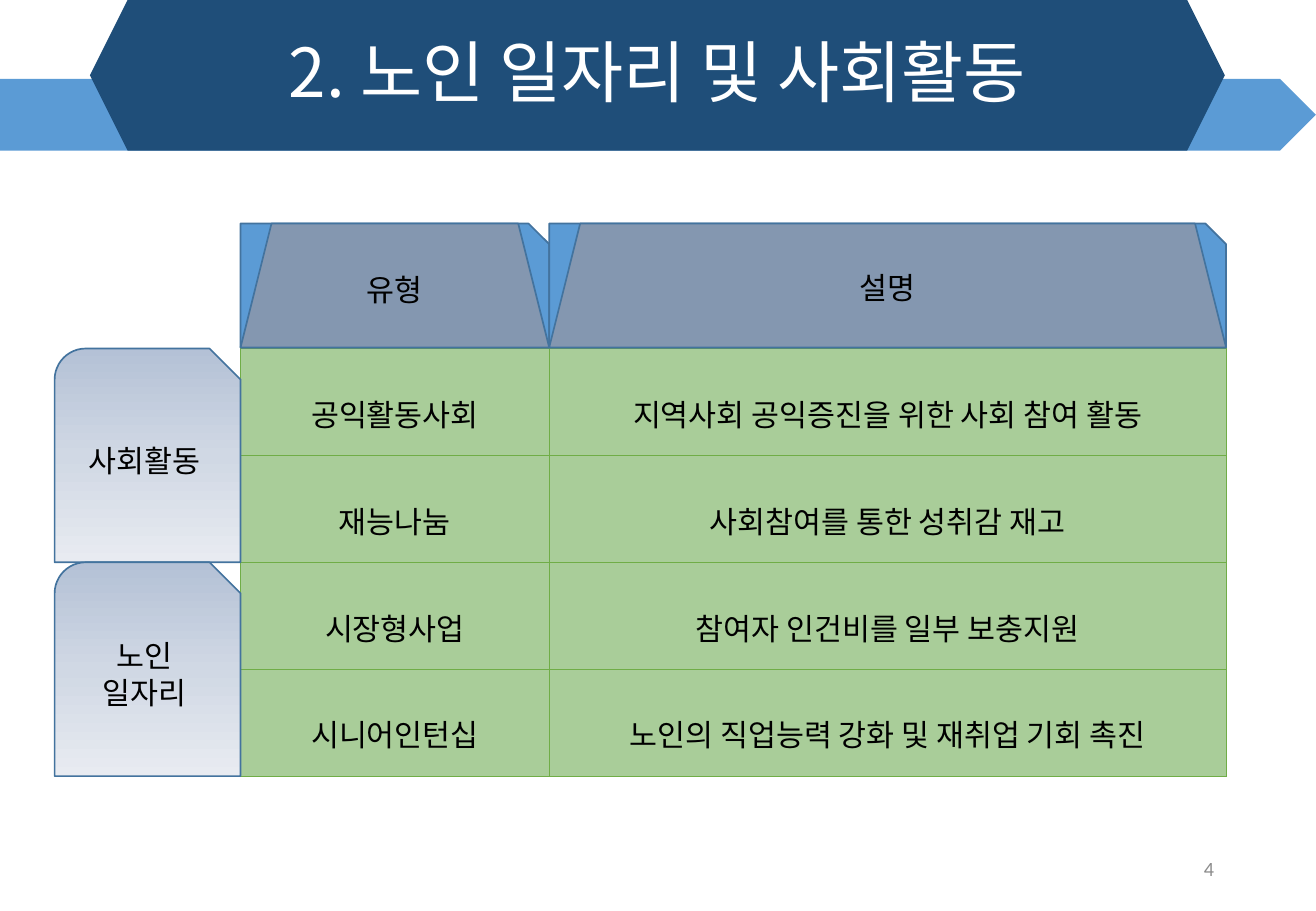
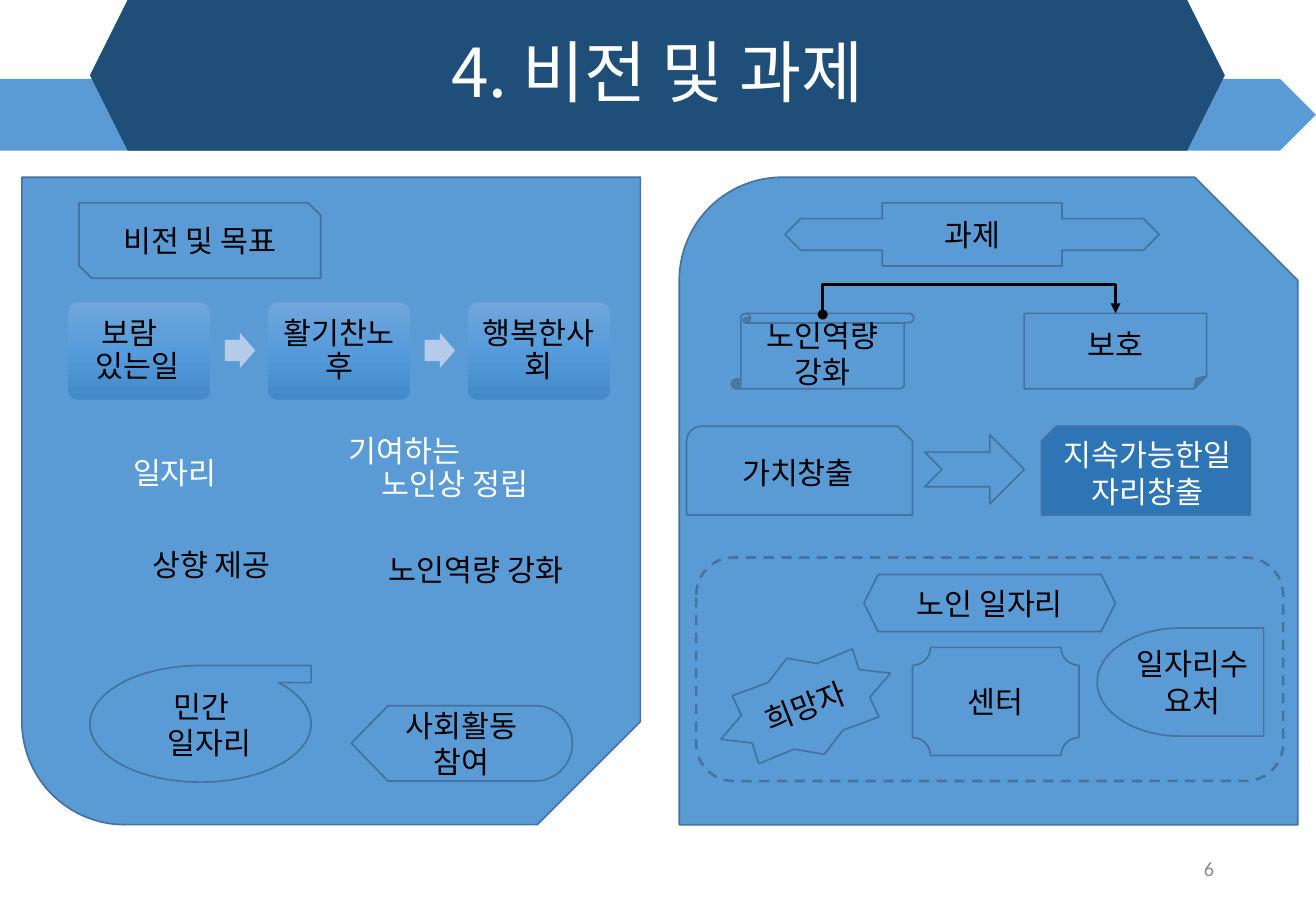
import copy

import pptx
import pptx.util
from lxml import etree
from pptx.dml.color import RGBColor
from pptx.enum.dml import MSO_LINE
from pptx.enum.shapes import MSO_CONNECTOR, MSO_SHAPE
from pptx.enum.text import MSO_ANCHOR, PP_ALIGN
from pptx.oxml.ns import qn
from pptx.util import Inches, Pt

FONT = "Noto Sans CJK KR"
NUMBER_FONT = "Calibri"
BLACK = RGBColor(0x00, 0x00, 0x00)
WHITE = RGBColor(0xFF, 0xFF, 0xFF)
GREY = RGBColor(0x8C, 0x8C, 0x8C)
NAVY = RGBColor(0x1F, 0x4E, 0x79)
BLUE = RGBColor(0x5B, 0x9B, 0xD5)
DEEP_BLUE = RGBColor(0x2E, 0x75, 0xB6)
EDGE = RGBColor(0x43, 0x73, 0x9E)
SLATE = RGBColor(0x84, 0x97, 0xB0)
PALE_BLUE = RGBColor(0xB5, 0xCB, 0xE7)
CELL_GREEN = RGBColor(0xA9, 0xCD, 0x99)
BORDER_GREEN = RGBColor(0x70, 0xAD, 0x47)
TAB_GRADIENT = (RGBColor(0xB4, 0xC1, 0xD6), RGBColor(0xD0, 0xD8, 0xE4), RGBColor(0xE8, 0xEB, 0xF1))
STEP_GRADIENT = (RGBColor(0x71, 0xA6, 0xDB), RGBColor(0x55, 0x9B, 0xDB), RGBColor(0x44, 0x8A, 0xCA))


def write(tf, text, size=18, color=BLACK, font=FONT, align=PP_ALIGN.CENTER,
          spacing=None, inset=None, hanging=None):
    tf.word_wrap = True
    tf.vertical_anchor = MSO_ANCHOR.MIDDLE
    if inset is not None:
        tf.margin_left = tf.margin_right = Inches(inset)
        tf.margin_top = tf.margin_bottom = Inches(inset)
    for i, line in enumerate(text.split("\n")):
        p = tf.paragraphs[0] if i == 0 else tf.add_paragraph()
        p.alignment = align
        if spacing:
            p.line_spacing = spacing
        if hanging:
            p.alignment = PP_ALIGN.LEFT
            p._p.get_or_add_pPr().set("marL", str(Inches(hanging[i])))
        r = p.add_run()
        r.text = line
        r.font.size = Pt(size)
        r.font.name = font
        r.font.color.rgb = color
        etree.SubElement(r._r.get_or_add_rPr(), qn("a:ea")).set("typeface", font)


def paint_gradient(s, colors):
    s.fill.gradient()
    s.fill.gradient_angle = 270
    stops = s._element.spPr.find(".//" + qn("a:gsLst"))
    stops.insert(1, copy.deepcopy(stops[0]))
    for i, (stop, color) in enumerate(zip(s.fill.gradient_stops, colors)):
        stop.position = i / 2
        stop.color.rgb = color


def add_shape(sl, kind, at, fill=BLUE, line=EDGE, text=None, adj=(), flip=None, **style):
    s = sl.shapes.add_shape(kind, *map(Inches, at))
    s.shadow.inherit = False
    if isinstance(fill, tuple) and not isinstance(fill, RGBColor):
        paint_gradient(s, fill)
    else:
        s.fill.solid()
        s.fill.fore_color.rgb = fill
    if line is None:
        s.line.fill.background()
    else:
        s.line.color.rgb = line
        s.line.width = Pt(1)
    for i, value in enumerate(adj):
        s.adjustments[i] = value
    if flip:
        s._element.spPr.find(qn("a:xfrm")).set(flip, "1")
    if text:
        write(s.text_frame, text, **style)
    return s


def add_text(sl, at, text, **style):
    tb = sl.shapes.add_textbox(*map(Inches, at))
    write(tb.text_frame, text, **style)


def add_base(prs, title, number):
    sl = prs.slides.add_slide(prs.slide_layouts[6])
    add_shape(sl, MSO_SHAPE.PENTAGON, (0, 0.65, 10.83, 0.59), line=None)
    add_shape(sl, MSO_SHAPE.HEXAGON, (0.74, 0, 9.34, 1.24), NAVY, None)
    add_text(sl, (0.74, 0, 9.34, 1.24), title, size=40, color=WHITE, spacing=0.9)
    add_text(sl, (7.65, 6.95, 2.44, 0.4), number, size=12, color=GREY,
             font=NUMBER_FONT, align=PP_ALIGN.RIGHT)
    return sl


def add_border(cell):
    tcPr = cell._tc.get_or_add_tcPr()
    for side in ("a:lnL", "a:lnR", "a:lnT", "a:lnB"):
        ln = etree.SubElement(tcPr, qn(side), w=str(Pt(0.5)))
        fill = etree.SubElement(ln, qn("a:solidFill"))
        etree.SubElement(fill, qn("a:srgbClr"), val=str(BORDER_GREEN))


def add_table(sl, left, top, widths, height, rows):
    frame = sl.shapes.add_table(len(rows), len(widths), Inches(left), Inches(top),
                                Inches(sum(widths)), Inches(height * len(rows)))
    table = frame.table
    table.first_row = table.horz_banding = False
    for column, width in zip(table.columns, widths):
        column.width = Inches(width)
    for i, row in enumerate(rows):
        table.rows[i].height = Inches(height)
        for j, text in enumerate(row):
            cell = table.cell(i, j)
            add_border(cell)
            cell.fill.solid()
            cell.fill.fore_color.rgb = CELL_GREEN
            write(cell.text_frame, text, spacing=1.5)
            cell.vertical_anchor = MSO_ANCHOR.MIDDLE


def add_fork(sl):
    c = sl.shapes.add_connector(MSO_CONNECTOR.ELBOW, Inches(7.98), Inches(3.79),
                                Inches(7.97), Inches(1.38))
    c.line.color.rgb = BLACK
    c.line.width = Pt(1.5)
    spPr = c._element.spPr
    spPr.find(qn("a:xfrm")).set("rot", "5400000")
    guides = spPr.find(qn("a:prstGeom")).get_or_add_avLst()
    etree.SubElement(guides, qn("a:gd"), name="adj1", fmla="val 2500000")
    ln = spPr.find(qn("a:ln"))
    etree.SubElement(ln, qn("a:headEnd"), type="oval")
    etree.SubElement(ln, qn("a:tailEnd"), type="triangle")
    etree.SubElement(spPr, qn("a:effectLst"))


def build_jobs(prs):
    sl = add_base(prs, "2. 노인 일자리 및 사회활동", "4")
    left, top, widths, height = 1.98, 2.87, (2.54, 5.57), 0.88
    add_table(sl, left, top, widths, height, [
        ("공익활동사회", "지역사회 공익증진을 위한 사회 참여 활동"),
        ("재능나눔", "사회참여를 통한 성취감 재고"),
        ("시장형사업", "참여자 인건비를 일부 보충지원"),
        ("시니어인턴십", "노인의 직업능력 강화 및 재취업 기회 촉진"),
    ])
    for x, width, text in zip((left, left + widths[0]), widths, ("유형", "설명")):
        at = (x, 1.84, width, 1.02)
        add_shape(sl, MSO_SHAPE.SNIP_1_RECTANGLE, at)
        add_shape(sl, MSO_SHAPE.TRAPEZOID, at, SLATE, text=text)
    for i, text in enumerate(("사회활동", "노인\n일자리")):
        add_shape(sl, MSO_SHAPE.SNIP_ROUND_RECTANGLE,
                  (0.45, top + i * 2 * height, 1.53, 2 * height), TAB_GRADIENT, text=text)


def add_tasks(sl):
    add_shape(sl, MSO_SHAPE.SNIP_ROUND_RECTANGLE, (5.59, 1.46, 5.09, 5.33))
    add_shape(sl, MSO_SHAPE.LEFT_RIGHT_ARROW_CALLOUT, (6.46, 1.67, 3.08, 0.52),
              text="과제", adj=(0.5, 0.25, 0.25, 0.48))
    add_shape(sl, MSO_SHAPE.VERTICAL_SCROLL, (6.02, 2.58, 1.5, 0.62), text="노인역량강화")
    add_shape(sl, MSO_SHAPE.FOLDED_CORNER, (8.43, 2.58, 1.5, 0.62), text="보호")
    add_fork(sl)
    add_shape(sl, MSO_SHAPE.SNIP_ROUND_RECTANGLE, (5.65, 3.51, 1.86, 0.73), text="가치창출")
    add_shape(sl, MSO_SHAPE.NOTCHED_RIGHT_ARROW, (7.61, 3.58, 0.82, 0.57))
    add_shape(sl, MSO_SHAPE.SNIP_ROUND_RECTANGLE, (8.57, 3.51, 1.72, 0.73), DEEP_BLUE,
              text="지속가능한일자리창출", flip="flipH", color=WHITE)
    frame = add_shape(sl, MSO_SHAPE.ROUNDED_RECTANGLE, (5.73, 4.59, 4.83, 1.84))
    frame.line.width = Pt(1.5)
    frame.line.dash_style = MSO_LINE.DASH
    add_shape(sl, MSO_SHAPE.HEXAGON, (7.11, 4.73, 2.07, 0.47), text="노인 일자리")
    star = add_shape(sl, MSO_SHAPE.STAR_8_POINT, (5.88, 5.39, 1.5, 0.85), text="희망자")
    star.rotation = 338.7
    add_shape(sl, MSO_SHAPE.PLAQUE, (7.51, 5.33, 1.37, 0.89), text="센터")
    add_shape(sl, MSO_SHAPE.FLOWCHART_DELAY, (9.03, 5.17, 1.37, 0.89),
              text="일자리수요처", flip="flipH")


def add_vision(sl):
    add_shape(sl, MSO_SHAPE.SNIP_ROUND_RECTANGLE, (0.18, 1.46, 5.09, 5.33), flip="flipV")
    add_shape(sl, MSO_SHAPE.SNIP_2_DIAG_RECTANGLE, (0.65, 1.67, 1.99, 0.62), text="비전 및 목표")
    add_shape(sl, MSO_SHAPE.FLOWCHART_SEQUENTIAL_ACCESS_STORAGE, (0.74, 5.48, 1.82, 0.96),
              flip="flipV")
    add_text(sl, (1.21, 5.61, 1.04, 0.71), "민간\n일자리", hanging=(0.12, 0.07))
    add_shape(sl, MSO_SHAPE.FLOWCHART_DISPLAY, (2.89, 5.81, 1.82, 0.62), text="사회활동참여")

    pitch = 1.645
    steps = (("보람\n있는일", (0.18, 0.13)), ("활기찬노후", None), ("행복한사회", None))
    for i, (text, hanging) in enumerate(steps):
        x = 0.56 + i * pitch
        add_shape(sl, MSO_SHAPE.ROUNDED_RECTANGLE, (x, 2.49, 1.17, 0.8), STEP_GRADIENT, None,
                  text, adj=(0.1,), spacing=0.9, inset=0.07, hanging=hanging)
        if i < len(steps) - 1:
            add_shape(sl, MSO_SHAPE.RIGHT_ARROW, (x + 1.29, 2.74, 0.25, 0.29),
                      PALE_BLUE, None, adj=(0.6, 0.5))

    for at, text, color, hanging in (
        ((0.3, 3.47, 2.28, 0.88), "일자리", WHITE, None),
        ((2.54, 3.48, 2.44, 0.77), "기여하는\n노인상 정립", WHITE, (0.26, 0.53)),
        ((0.56, 4.19, 2.36, 0.95), "상향 제공", BLACK, None),
        ((2.96, 4.25, 1.91, 0.91), "노인역량 강화", BLACK, None),
    ):
        add_shape(sl, MSO_SHAPE.RECTANGLE, at, BLUE, None, text, color=color,
                  spacing=0.9, inset=0.07, hanging=hanging)


def build_vision(prs):
    sl = add_base(prs, "4. 비전 및 과제", "6")
    add_tasks(sl)
    add_vision(sl)


def main():
    prs = pptx.Presentation()
    prs.slide_width = Inches(10.83)
    prs.slide_height = Inches(7.5)
    build_jobs(prs)
    build_vision(prs)
    prs.save("out.pptx")


if __name__ == "__main__":
    main()
